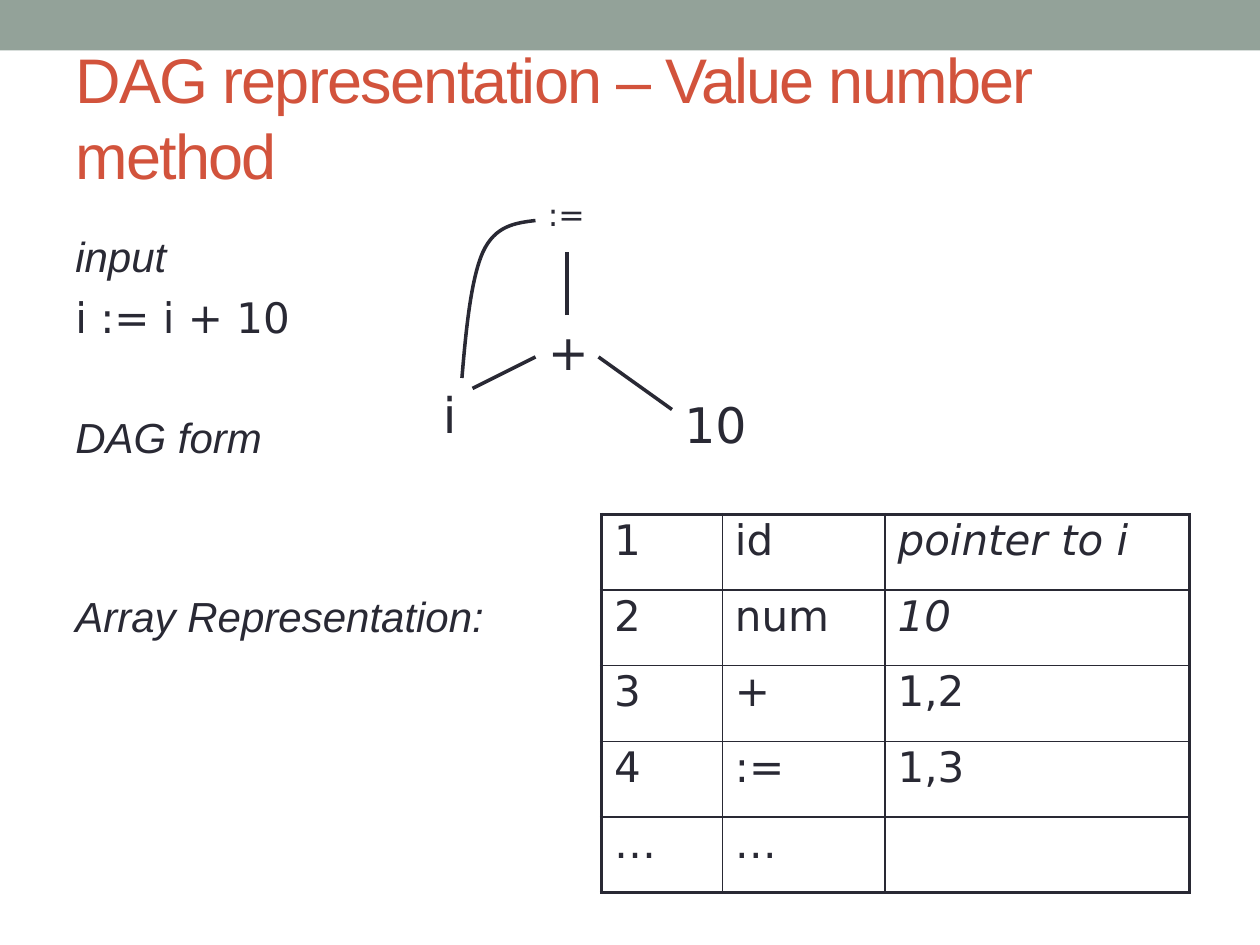
from lxml import etree
from pptx import Presentation
from pptx.dml.color import RGBColor
from pptx.enum.shapes import MSO_CONNECTOR, MSO_SHAPE
from pptx.enum.text import MSO_ANCHOR
from pptx.oxml.ns import qn
from pptx.util import Pt

RECTANGLE = MSO_SHAPE.RECTANGLE
STRAIGHT = MSO_CONNECTOR.STRAIGHT
TOP, MIDDLE = MSO_ANCHOR.TOP, MSO_ANCHOR.MIDDLE

COLORS = {"band": "93A299", "title": "D2533C", "ink": "292934"}
SANS, CODE = "Arial", "DejaVu Sans"

# Content
TITLE = "DAG representation – Value number method"
# text, font, italic, space before
STEPS = [
    ("input", SANS, True, 0),
    ("i := i + 10", CODE, False, 6),
    ("DAG form", SANS, True, 40),
    ("Array Representation:", SANS, True, 73.5),
]
# text, left, top, width, height, size
NODES = [
    (":=", 306, 108, 45, 36, 18),
    ("+", 306, 180, 37.5, 41, 28),
    ("10", 384, 222, 50, 41, 28),
    ("i", 246, 216, 22.5, 41, 28),
]
EDGES = [
    ((270, 222), (306, 204)),
    ((384, 234), (342, 204)),
    ((324, 180), (324, 144)),
]
# start, then two curves of two control points and an end
ASSIGN_CURVE = [(264, 216), (266.4, 187.2), (269.3, 159.1), (276, 144),
                (283, 128.9), (294.5, 127.4), (306, 126)]
VALUE_ROWS = [
    ("1", "id", "pointer to i"),
    ("2", "num", "10"),
    ("3", "+", "1,2"),
    ("4", ":=", "1,3"),
    ("…", "…", ""),
]
ITALIC_CELLS = {(0, 2), (1, 2)}
TABLE_LEFT, TABLE_TOP = 343.75, 294
COLUMN_WIDTHS = [69, 93, 174]
ROW_HEIGHT = 43.2
THIN, THICK = 1, 2.25


def color(name):
    return RGBColor.from_string(COLORS[name])


def write(para, text, size=24, font=SANS, ink="ink", italic=False,
          before=None, line_spacing=None, tracking=None):
    if before is not None:
        para.space_before = Pt(before)
    if line_spacing:
        para.line_spacing = line_spacing
    span = para.add_run()
    span.text = text
    span.font.size = Pt(size)
    span.font.name = font
    span.font.italic = italic
    span.font.color.rgb = color(ink)
    if tracking:
        span._r.get_or_add_rPr().set("spc", str(int(tracking * 100)))


def add_box(left, top, width, height, wrap=True, anchor=TOP):
    box = page.shapes.add_textbox(Pt(left), Pt(top), Pt(width), Pt(height))
    box.text_frame.word_wrap = wrap
    box.text_frame.vertical_anchor = anchor
    return box.text_frame


def style_line(shape):
    shape.line.color.rgb = color("ink")
    shape.line.width = Pt(2)


def set_border(cell, side, width):
    properties = cell._tc.get_or_add_tcPr()
    line = etree.SubElement(properties, qn("a:ln" + side), w=str(Pt(width)))
    fill = etree.SubElement(line, qn("a:solidFill"))
    etree.SubElement(fill, qn("a:srgbClr"), val=COLORS["ink"])


deck = Presentation()
deck.slide_width, deck.slide_height = Pt(720), Pt(540)
page = deck.slides.add_slide(deck.slide_layouts[6])

# Top band
band = page.shapes.add_shape(RECTANGLE, 0, 0, Pt(720), Pt(28.8))
band.shadow.inherit = False
band.fill.solid()
band.fill.fore_color.rgb = color("band")
band.line.fill.background()

# Title and steps
title = add_box(36, 21.6, 648, 90, anchor=MIDDLE)
write(title.paragraphs[0], TITLE, size=36, ink="title", tracking=-1)
steps = add_box(36, 126, 318, 356.4)
steps.margin_top = Pt(5.5)
for index, (text, font, italic, before) in enumerate(STEPS):
    para = steps.add_paragraph() if index else steps.paragraphs[0]
    write(para, text, font=font, italic=italic, before=before)

# Value number table
table = page.shapes.add_table(
    len(VALUE_ROWS), len(COLUMN_WIDTHS), Pt(TABLE_LEFT), Pt(TABLE_TOP),
    Pt(sum(COLUMN_WIDTHS)), Pt(ROW_HEIGHT * len(VALUE_ROWS))).table
table.first_row = table.horz_banding = False
for column, width in zip(table.columns, COLUMN_WIDTHS):
    column.width = Pt(width)
last_row, last_column = len(VALUE_ROWS) - 1, len(COLUMN_WIDTHS) - 1
for r, values in enumerate(VALUE_ROWS):
    table.rows[r].height = Pt(ROW_HEIGHT)
    for c, text in enumerate(values):
        cell = table.cell(r, c)
        outer = {"L": c == 0, "R": c == last_column,
                 "T": r == 0, "B": r == last_row}
        for side, is_outer in outer.items():
            set_border(cell, side, THICK if is_outer else THIN)
        cell.fill.background()
        if text:
            write(cell.text_frame.paragraphs[0], text, font=CODE,
                  italic=(r, c) in ITALIC_CELLS, line_spacing=0.89)

# Graph nodes
for text, left, top, width, height, size in NODES:
    node = add_box(left, top, width, height, wrap=False)
    write(node.paragraphs[0], text, size=size, font=CODE)

# Graph edges
for start, end in EDGES:
    edge = page.shapes.add_connector(
        STRAIGHT, *(Pt(value) for value in start + end))
    style_line(edge)
    etree.SubElement(edge._element.spPr, qn("a:effectLst"))

# Curved edge: each three straight segments become one Bezier segment
points = [(Pt(x), Pt(y)) for x, y in ASSIGN_CURVE]
builder = page.shapes.build_freeform(*points[0])
builder.add_line_segments(points[1:], close=False)
curve = builder.convert_to_shape()
curve.shadow.inherit = False
curve.fill.background()
style_line(curve)
outline = next(curve._element.iter(qn("a:path")))
segments = outline.findall(qn("a:lnTo"))
for first in range(0, len(segments), 3):
    bezier = etree.SubElement(outline, qn("a:cubicBezTo"))
    for segment in segments[first:first + 3]:
        bezier.append(segment[0])
        outline.remove(segment)

deck.save("out.pptx")
